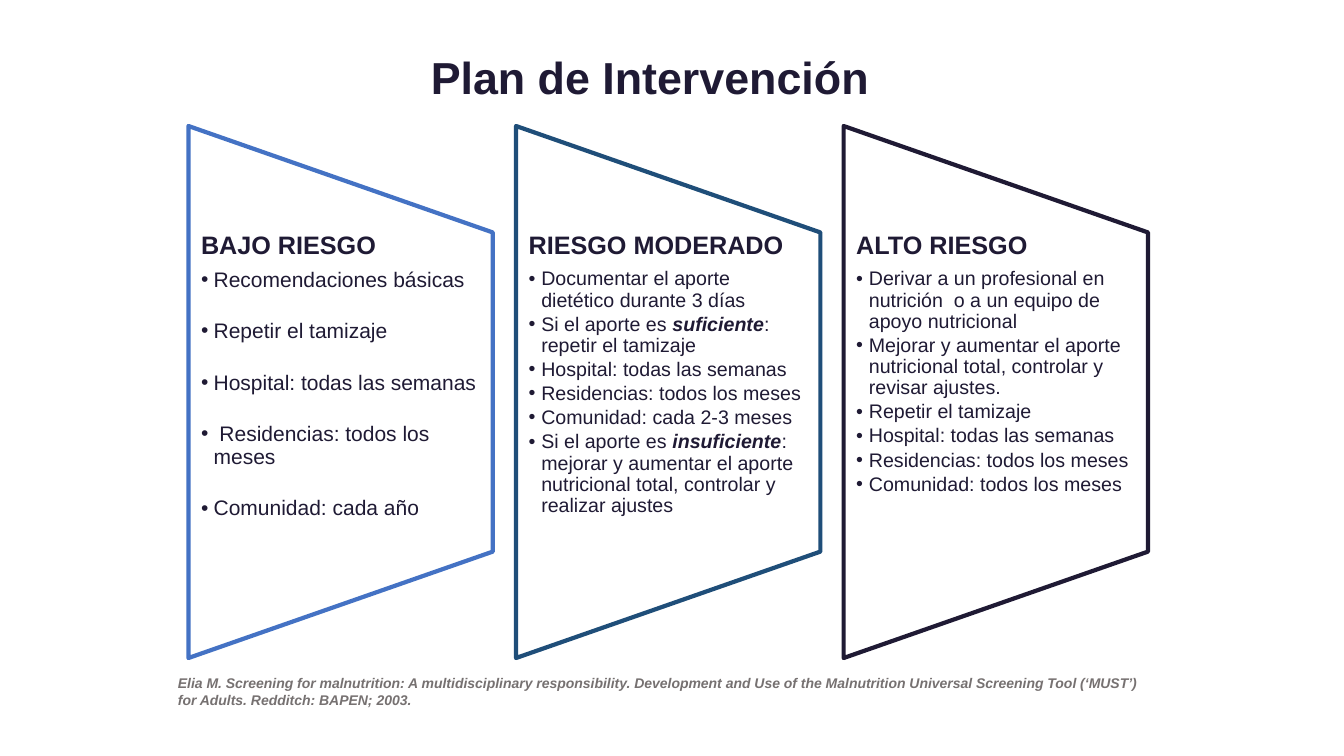
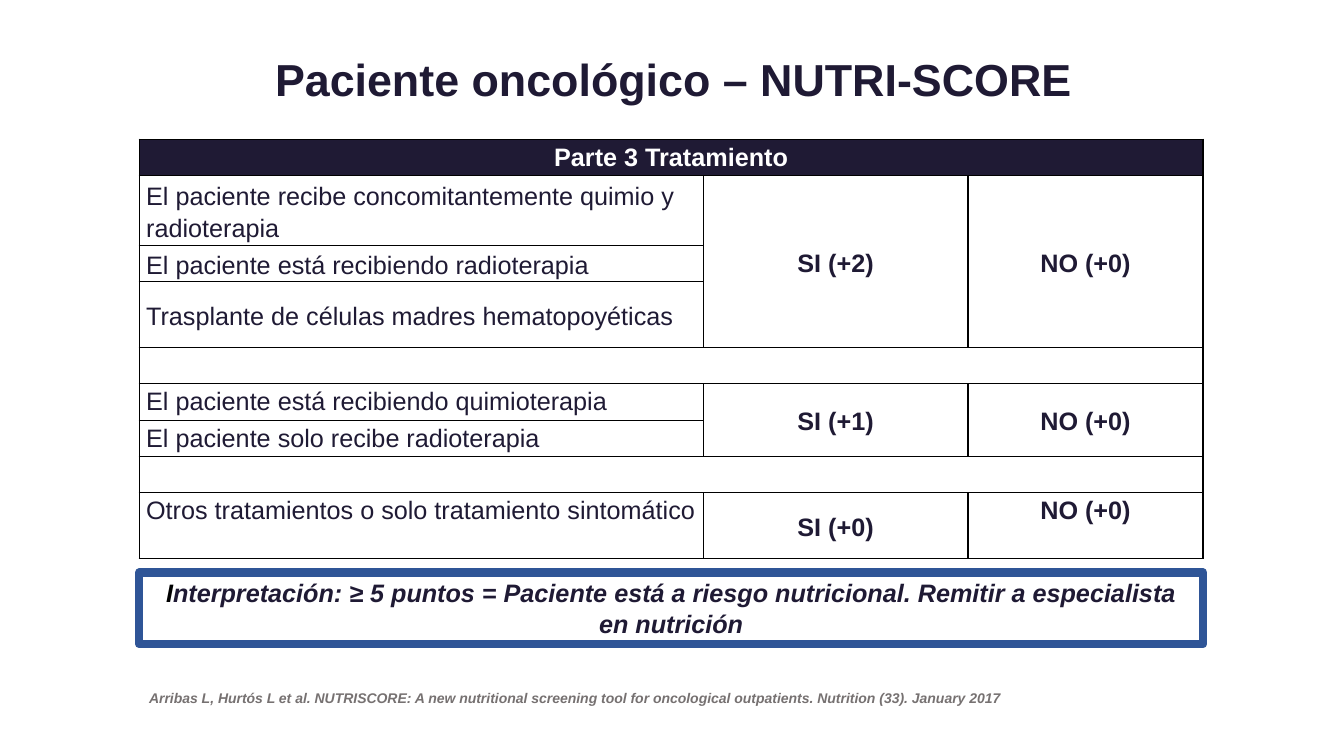
from dataclasses import dataclass
from typing import Optional

from lxml import etree
from pptx import Presentation
from pptx import shapes as shape_types
from pptx import slide as slides
from pptx import table as tables
from pptx import util as u
from pptx.dml.color import RGBColor
from pptx.enum import shapes, text
from pptx.oxml import ns
from pptx.text import text as prose

INK = RGBColor(0x1F, 0x1A, 0x34)
WHITE = RGBColor(0xFF, 0xFF, 0xFF)
BLACK = RGBColor(0x00, 0x00, 0x00)
GREY = RGBColor(0x76, 0x71, 0x71)
SKY = RGBColor(0x44, 0x72, 0xC4)
TEAL = RGBColor(0x1F, 0x4E, 0x79)
BLUE = RGBColor(0x2F, 0x55, 0x97)
FONT = "Arial"
LEFT, CENTER, JUSTIFY = text.PP_ALIGN.LEFT, text.PP_ALIGN.CENTER, text.PP_ALIGN.JUSTIFY
TOP, MIDDLE = text.MSO_ANCHOR.TOP, text.MSO_ANCHOR.MIDDLE

PANEL_LEFT, PANEL_TOP, PANEL_STEP = 134.6, 90, 234
PANEL_WIDTH, PANEL_HEIGHT = 217.4, 380
LIST_TOP, LIST_HEIGHT = 166.3, 228
BULLET_INDENT = 9
TABLE_LEFT, TABLE_TOP = 99.4, 99.4
COLUMN_WIDTHS = (403, 189, 168)
LOW, HIGH = 26, 47
ROW_HEIGHTS = (LOW, HIGH, LOW, HIGH, LOW, LOW, LOW, LOW, HIGH)


@dataclass(frozen=True)
class Frame:
    left: float
    top: float
    width: float
    height: float

    def points(self) -> tuple[u.Length, ...]:
        return tuple(u.Pt(side) for side in (self.left, self.top, self.width, self.height))


@dataclass(frozen=True)
class Risk:
    heading: str
    color: RGBColor
    size: float
    gap: float
    items: tuple[str, ...]


@dataclass(frozen=True)
class Entry:
    row: int
    column: int
    words: str = ""
    rows: int = 1
    columns: int = 1
    align: text.PP_ALIGN = LEFT
    anchor: text.MSO_ANCHOR = MIDDLE
    bold: bool = False
    color: RGBColor = INK
    fill: RGBColor = WHITE


RISKS = (
    Risk("BAJO RIESGO", SKY, 15, 20.6, (
        "Recomendaciones básicas",
        "Repetir el tamizaje",
        "Hospital: todas las semanas",
        " Residencias: todos los meses",
        "Comunidad: cada año",
    )),
    Risk("RIESGO MODERADO", TEAL, 14, 2.1, (
        "Documentar el aporte dietético durante 3 días",
        "Si el aporte es *suficiente*: repetir el tamizaje",
        "Hospital: todas las semanas",
        "Residencias: todos los meses",
        "Comunidad: cada 2-3 meses",
        "Si el aporte es *insuficiente*: mejorar y aumentar el aporte "
        "nutricional total, controlar y realizar ajustes",
    )),
    Risk("ALTO RIESGO", INK, 14, 2.1, (
        "Derivar a un profesional en nutrición  o a un equipo de apoyo nutricional",
        "Mejorar y aumentar el aporte nutricional total, controlar y revisar ajustes.",
        "Repetir el tamizaje",
        "Hospital: todas las semanas",
        "Residencias: todos los meses",
        "Comunidad: todos los meses",
    )),
)


def score(row: int, column: int, words: str, rows: int = 1,
          anchor: text.MSO_ANCHOR = MIDDLE) -> Entry:
    return Entry(row, column, words, rows=rows, align=CENTER, anchor=anchor, bold=True)


ENTRIES = (
    Entry(0, 0, "Parte 3 Tratamiento", columns=3, align=CENTER, anchor=TOP,
          bold=True, color=WHITE, fill=INK),
    Entry(1, 0, "El paciente recibe concomitantemente quimio y radioterapia"),
    score(1, 1, "SI (+2)", rows=3),
    score(1, 2, "NO (+0)", rows=3),
    Entry(2, 0, "El paciente está recibiendo radioterapia"),
    Entry(3, 0, "Trasplante de células madres hematopoyéticas"),
    Entry(4, 0, columns=3),
    Entry(5, 0, "El paciente está recibiendo quimioterapia", align=JUSTIFY, anchor=TOP),
    score(5, 1, "SI (+1)", rows=2),
    score(5, 2, "NO (+0)", rows=2),
    Entry(6, 0, "El paciente solo recibe radioterapia", align=JUSTIFY, anchor=TOP),
    Entry(7, 0, columns=3),
    Entry(8, 0, "Otros tratamientos o solo tratamiento sintomático", align=JUSTIFY, anchor=TOP),
    score(8, 1, "SI (+0)"),
    score(8, 2, "NO (+0)", anchor=TOP),
)


def style(para: prose._Paragraph, size: float, color: Optional[RGBColor] = INK,
          bold: bool = False, italic: bool = False) -> None:
    font = para.font
    font.name, font.size, font.bold, font.italic = FONT, u.Pt(size), bold, italic
    if color is not None:
        font.color.rgb = color


def space(para: prose._Paragraph, line: float, after: float = 0) -> None:
    para.line_spacing = line
    para.space_before = u.Pt(0)
    para.space_after = u.Pt(after)


def place(box: shape_types.base.BaseShape, frame: Frame) -> None:
    box.left, box.top, box.width, box.height = frame.points()


def set_title(page: slides.Slide, words: str, frame: Frame) -> None:
    box = page.shapes.title
    place(box, frame)
    box.text_frame.auto_size = text.MSO_AUTO_SIZE.NONE
    box.text_frame.vertical_anchor = MIDDLE
    box.text_frame.text = words
    para = box.text_frame.paragraphs[0]
    para.alignment = CENTER
    space(para, 0.9)
    style(para, 32, bold=True)


def add_citation(page: slides.Slide, words: str, frame: Frame) -> None:
    box = page.shapes.add_textbox(*frame.points())
    box.text_frame.word_wrap = True
    para = box.text_frame.paragraphs[0]
    para.text = words
    style(para, 10, GREY, bold=True, italic=True)


def set_bullet(para: prose._Paragraph, mark: str = "") -> None:
    properties = para._p.get_or_add_pPr()
    indent = u.Pt(BULLET_INDENT) if mark else 0
    properties.set("marL", str(indent))
    properties.set("indent", str(-indent))
    bullet = etree.SubElement(properties, ns.qn("a:buChar" if mark else "a:buNone"))
    if mark:
        bullet.set("char", mark)


def add_panel(page: slides.Slide, risk: Risk, left: float) -> None:
    inset = (PANEL_HEIGHT - PANEL_WIDTH) / 2
    frame = Frame(left - inset, PANEL_TOP + inset, PANEL_HEIGHT, PANEL_WIDTH)
    panel = page.shapes.add_shape(
        shapes.MSO_SHAPE.FLOWCHART_MANUAL_OPERATION, *frame.points())
    panel.rotation = 270
    panel.shadow.inherit = False
    panel.fill.background()
    panel.line.color.rgb = risk.color
    panel.line.width = u.Pt(3)


def fill_list(box: shape_types.placeholder.SlidePlaceholder, risk: Risk, left: float) -> None:
    place(box, Frame(left, LIST_TOP, PANEL_WIDTH, LIST_HEIGHT))
    frame = box.text_frame
    frame.auto_size = text.MSO_AUTO_SIZE.NONE
    frame.vertical_anchor = TOP
    frame.margin_left = frame.margin_right = u.Pt(9)
    frame.margin_top = frame.margin_bottom = 0
    heading = frame.paragraphs[0]
    heading.text = risk.heading
    set_bullet(heading)
    space(heading, 0.9, 6.3)
    style(heading, 18, bold=True)
    for item in risk.items:
        para = frame.add_paragraph()
        set_bullet(para, "•")
        space(para, 0.9, risk.gap)
        style(para, risk.size)
        for index, words in enumerate(item.split("*")):
            span = para.add_run()
            span.text = words
            if index % 2:
                span.font.bold = span.font.italic = True


def set_borders(cell: tables._Cell) -> None:
    properties = cell._tc.get_or_add_tcPr()
    for side in ("a:lnL", "a:lnR", "a:lnT", "a:lnB"):
        line = etree.SubElement(properties, ns.qn(side), w=str(u.Pt(1)))
        fill = etree.SubElement(line, ns.qn("a:solidFill"))
        etree.SubElement(fill, ns.qn("a:srgbClr"), val=str(BLACK))


def fill_cell(table: tables.Table, entry: Entry) -> None:
    cell = table.cell(entry.row, entry.column)
    if entry.rows > 1 or entry.columns > 1:
        cell.merge(table.cell(entry.row + entry.rows - 1, entry.column + entry.columns - 1))
    cell.fill.solid()
    cell.fill.fore_color.rgb = entry.fill
    cell.vertical_anchor = entry.anchor
    if entry.words:
        para = cell.text_frame.paragraphs[0]
        para.text = entry.words
        para.alignment = entry.align
        space(para, 1.15, 10)
        style(para, 18, entry.color, bold=entry.bold)


def add_score_table(page: slides.Slide) -> None:
    frame = Frame(TABLE_LEFT, TABLE_TOP, sum(COLUMN_WIDTHS), sum(ROW_HEIGHTS))
    table = page.shapes.add_table(
        len(ROW_HEIGHTS), len(COLUMN_WIDTHS), *frame.points()).table
    table.first_row = table.horz_banding = False
    for column, width in zip(table.columns, COLUMN_WIDTHS):
        column.width = u.Pt(width)
    for row, height in zip(table.rows, ROW_HEIGHTS):
        row.height = u.Pt(height)
    for cell in table.iter_cells():
        set_borders(cell)
        cell.fill.solid()
        cell.fill.fore_color.rgb = WHITE
        cell.margin_left = cell.margin_right = u.Pt(5)
        cell.margin_top = cell.margin_bottom = 0
    for entry in ENTRIES:
        fill_cell(table, entry)


def add_interpretation(page: slides.Slide) -> None:
    frame = Frame(TABLE_LEFT, 409, sum(COLUMN_WIDTHS), 51)
    box = page.shapes.add_shape(shapes.MSO_SHAPE.RECTANGLE, *frame.points())
    box.shadow.inherit = False
    box.fill.solid()
    box.fill.fore_color.rgb = WHITE
    box.line.color.rgb = BLUE
    box.line.width = u.Pt(6)
    box.text_frame.word_wrap = True
    box.text_frame.vertical_anchor = TOP
    para = box.text_frame.paragraphs[0]
    para.alignment = CENTER
    style(para, 18, None, bold=True, italic=True)
    for words, color in (
        ("I", BLACK),
        ("nterpretación: ≥ 5 puntos = Paciente está a riesgo nutricional. "
         "Remitir a especialista en nutrición", INK),
    ):
        span = para.add_run()
        span.text = words
        span.font.color.rgb = color


def build_plan(deck: Presentation) -> None:
    page = deck.slides.add_slide(deck.slide_layouts.get_by_name("Comparison"))
    set_title(page, "Plan de Intervención", Frame(255.6, 12, 417.6, 90))
    *boxes, spare = list(page.placeholders)[1:]
    spare.element.getparent().remove(spare.element)
    for index, (risk, box) in enumerate(zip(RISKS, boxes)):
        left = PANEL_LEFT + index * PANEL_STEP
        add_panel(page, risk, left)
        fill_list(box, risk, left)
    add_citation(
        page,
        "Elia M. Screening for malnutrition: A multidisciplinary responsibility. "
        "Development and Use of the Malnutrition Universal Screening Tool (‘MUST’) "
        "for Adults. Redditch: BAPEN; 2003.",
        Frame(120, 478, 700, 32))


def build_score(deck: Presentation) -> None:
    page = deck.slides.add_slide(deck.slide_layouts.get_by_name("Title Only"))
    set_title(page, "Paciente oncológico – NUTRI-SCORE", Frame(179.3, 6.5, 604, 104.4))
    add_citation(
        page,
        "Arribas L, Hurtós L et al. NUTRISCORE: A new nutritional screening tool "
        "for oncological outpatients. Nutrition (33). January 2017",
        Frame(TABLE_LEFT, 489, 844, 19.4))
    add_score_table(page)
    add_interpretation(page)


def main() -> None:
    deck = Presentation()
    deck.slide_width, deck.slide_height = u.Pt(960), u.Pt(540)
    build_plan(deck)
    build_score(deck)
    deck.save("out.pptx")


if __name__ == "__main__":
    main()
